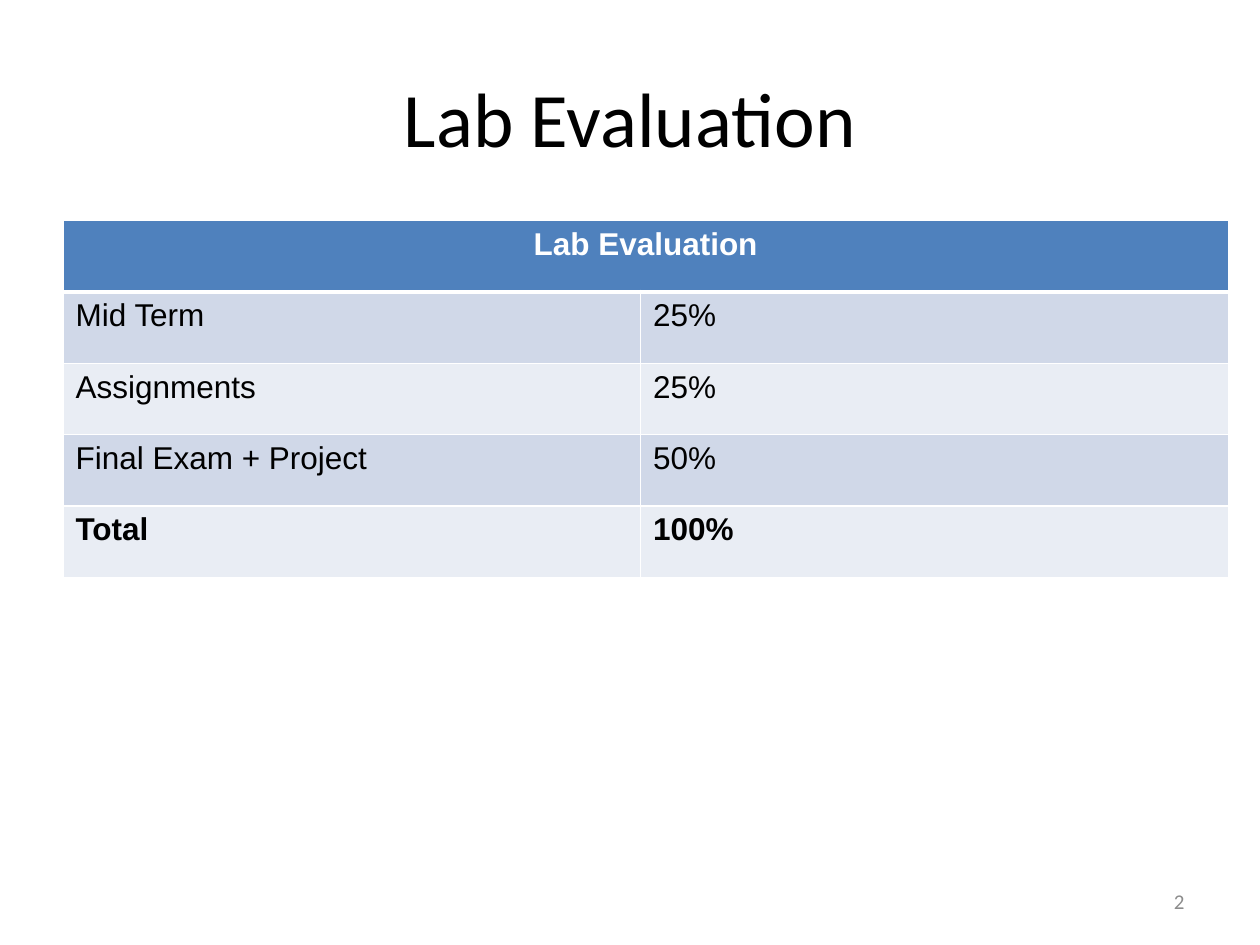
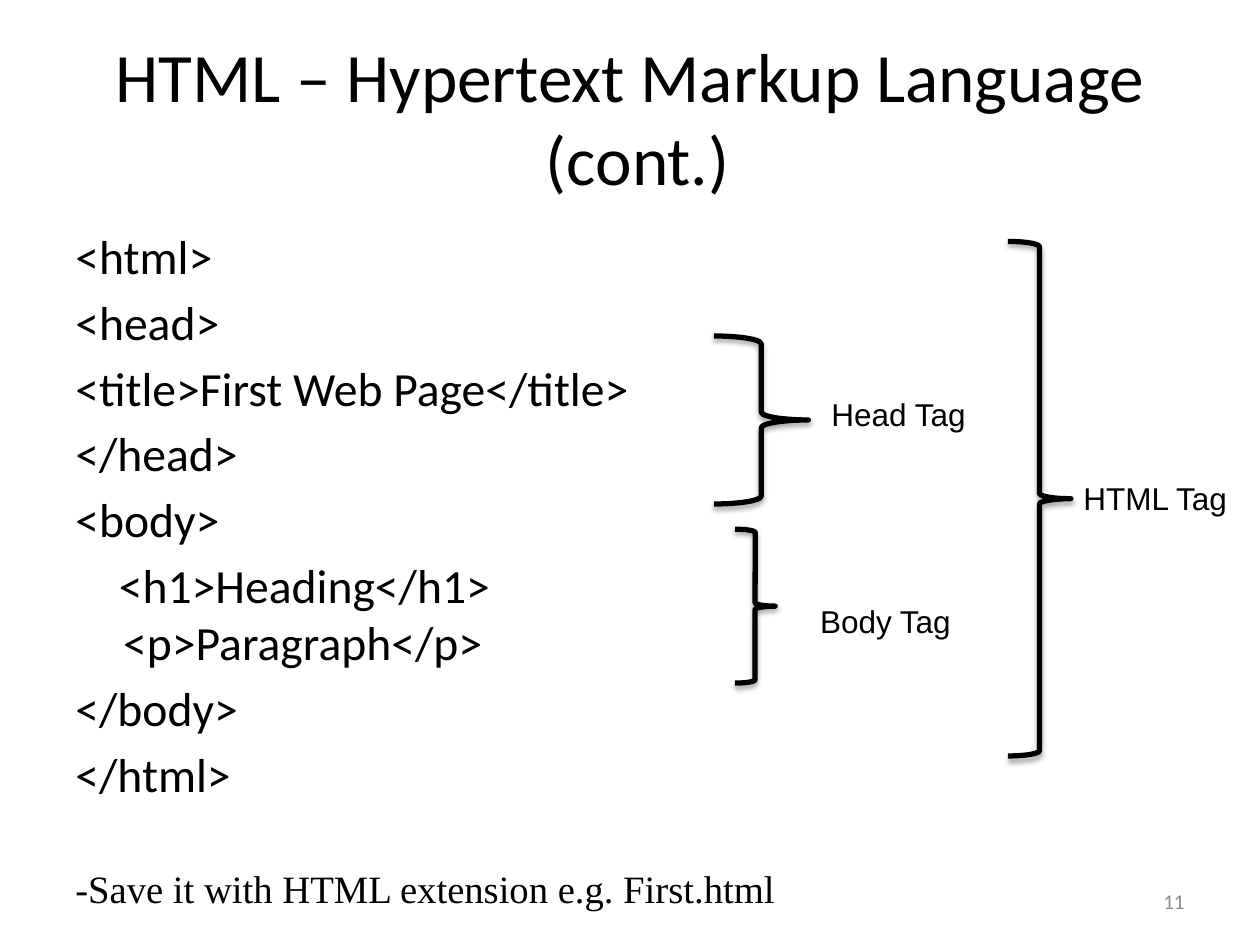
from dataclasses import dataclass

from lxml import etree
from pptx import Presentation
from pptx.dml.color import RGBColor
from pptx.enum.shapes import MSO_SHAPE
from pptx.enum.text import MSO_ANCHOR, PP_ALIGN
from pptx.oxml.ns import qn
from pptx.util import Pt

LEFT, CENTER, RIGHT = PP_ALIGN.LEFT, PP_ALIGN.CENTER, PP_ALIGN.RIGHT
TOP, MIDDLE = MSO_ANCHOR.TOP, MSO_ANCHOR.MIDDLE
BRACE = MSO_SHAPE.RIGHT_BRACE


@dataclass(frozen=True)
class Theme:
    ink: str = "000000"
    paper: str = "FFFFFF"
    muted: str = "8C8C8C"
    header: str = "4F81BD"
    bands: tuple = ("D0D8E8", "E9EDF4")
    heading_font: str = "Calibri"
    label_font: str = "Arial"
    note_font: str = "Times New Roman"
    title_size: float = 44
    long_title_size: float = 39.6
    code_size: float = 27.2
    note_size: float = 22.1
    label_size: float = 18
    number_size: float = 12


THEME = Theme()

# Content
EVALUATION_TITLE = "Lab Evaluation"
EVALUATION_HEADER = "Lab Evaluation"
EVALUATION_ROWS = [
    ("Mid Term", "25%"),
    ("Assignments", "25%"),
    ("Final Exam + Project", "50%"),
    ("Total", "100%"),
]
HTML_TITLE = "HTML – Hypertext Markup Language\n (cont.)"
HANG = -27.36
NESTED = -2.5
CODE_LINES = [  # text, first-line indent
    ("<html>", HANG),
    ("<head>", HANG),
    ("<title>First Web Page</title>", HANG),
    ("</head>", HANG),
    ("<body>", HANG),
    ("<h1>Heading</h1>\n<p>Paragraph</p>", NESTED),
    ("</body>", HANG),
    ("</html>", HANG),
]
SAVE_NOTE = "-Save it with HTML extension e.g. First.html"
TAG_BRACES = [  # label, label box, brace box
    ("Head Tag", (468, 222, 96, 29), (408, 192, 54, 96)),
    ("HTML Tag", (612, 270, 108, 29), (576, 138, 36, 294)),
    ("Body Tag", (461.5, 340.5, 96, 29), (420, 302.4, 23, 88)),
]

# Layout
PAGE_SIZE = (720, 540)
TITLE_BOX = (36, 21.6, 648, 90)
BODY_BOX = (36, 126, 648, 356.4)
NUMBER_BOX = (516, 500.5, 168, 28.75)
COLUMN_WIDTHS = (330, 336)
ROW_HEIGHT = 40.8
CODE_GAP = 5
NOTE_GAP = 36


def points(box):
    return [Pt(value) for value in box]


def style(para, size, font, color=THEME.ink, bold=False, align=LEFT):
    para.alignment = align
    para.font.size = Pt(size)
    para.font.name = font
    para.font.bold = bold
    para.font.color.rgb = RGBColor.from_string(color)


def add_frame(page, box, anchor=TOP):
    frame = page.shapes.add_textbox(*points(box)).text_frame
    frame.word_wrap = True
    frame.vertical_anchor = anchor
    return frame


def add_text(page, box, text, size, font, anchor=TOP, **look):
    para = add_frame(page, box, anchor).paragraphs[0]
    para.text = text
    style(para, size, font, **look)


def add_page(deck, title, title_size, number):
    page = deck.slides.add_slide(deck.slide_layouts[6])
    add_text(page, TITLE_BOX, title, title_size, THEME.heading_font,
             anchor=MIDDLE, align=CENTER)
    add_text(page, NUMBER_BOX, str(number), THEME.number_size,
             THEME.heading_font, anchor=MIDDLE, color=THEME.muted, align=RIGHT)
    return page


def add_color(parent, color):
    return etree.SubElement(parent, qn("a:srgbClr"), val=color)


def set_borders(cell, top=1, bottom=1):
    properties = cell._tc.get_or_add_tcPr()
    widths = {"L": 1, "R": 1, "T": top, "B": bottom}
    for position, (side, width) in enumerate(widths.items()):
        line = etree.Element(qn(f"a:ln{side}"), w=str(int(Pt(width))))
        add_color(etree.SubElement(line, qn("a:solidFill")), THEME.paper)
        properties.insert(position, line)


def add_evaluation_table(page):
    rows = [(EVALUATION_HEADER, ""), *EVALUATION_ROWS]
    left, top = BODY_BOX[:2]
    table = page.shapes.add_table(
        len(rows), len(COLUMN_WIDTHS),
        *points((left, top, sum(COLUMN_WIDTHS), ROW_HEIGHT * len(rows)))).table
    for column, width in zip(table.columns, COLUMN_WIDTHS):
        column.width = Pt(width)
    table.cell(0, 0).merge(table.cell(0, 1))
    for index, row in enumerate(rows):
        table.rows[index].height = Pt(ROW_HEIGHT)
        is_header = index == 0
        is_total = index == len(rows) - 1
        fill = THEME.header if is_header else THEME.bands[(index - 1) % 2]
        for column, text in enumerate(row):
            cell = table.cell(index, column)
            cell.fill.solid()
            cell.fill.fore_color.rgb = RGBColor.from_string(fill)
            set_borders(cell, top=3 if index == 1 else 1,
                        bottom=3 if is_header else 1)
            para = cell.text_frame.paragraphs[0]
            para.text = text
            style(para, THEME.label_size, THEME.label_font,
                  color=THEME.paper if is_header else THEME.ink,
                  bold=is_header or is_total,
                  align=CENTER if is_header else LEFT)


def add_code(page):
    frame = add_frame(page, BODY_BOX)
    lines = [(text, indent, CODE_GAP, THEME.code_size, THEME.heading_font)
             for text, indent in CODE_LINES]
    lines.append((SAVE_NOTE, HANG, NOTE_GAP, THEME.note_size, THEME.note_font))
    for index, (text, indent, gap, size, font) in enumerate(lines):
        para = frame.add_paragraph() if index else frame.paragraphs[0]
        para.text = text
        para.space_before = Pt(gap)
        style(para, size, font)
        properties = para._p.get_or_add_pPr()
        properties.set("marL", str(int(Pt(-HANG))))
        properties.set("indent", str(int(Pt(indent))))


def add_brace(page, box):
    brace = page.shapes.add_shape(BRACE, *points(box))
    brace.fill.background()
    brace.line.color.rgb = RGBColor.from_string(THEME.ink)
    brace.line.width = Pt(3)
    # Soft shadow straight below
    brace.shadow.inherit = False
    effects = brace._element.spPr.find(qn("a:effectLst"))
    shadow = etree.SubElement(
        effects, qn("a:outerShdw"), blurRad=str(int(Pt(3.1))),
        dist=str(int(Pt(1.8))), dir="5400000", rotWithShape="0")
    etree.SubElement(add_color(shadow, THEME.ink), qn("a:alpha"), val="35000")


deck = Presentation()
deck.slide_width, deck.slide_height = points(PAGE_SIZE)

# Lab evaluation
evaluation = add_page(deck, EVALUATION_TITLE, THEME.title_size, 2)
add_evaluation_table(evaluation)

# HTML skeleton with its tags bracketed
skeleton = add_page(deck, HTML_TITLE, THEME.long_title_size, 11)
add_code(skeleton)
for label, label_box, brace_box in TAG_BRACES:
    add_brace(skeleton, brace_box)
    add_text(skeleton, label_box, label, THEME.label_size, THEME.label_font)

deck.save("out.pptx")
